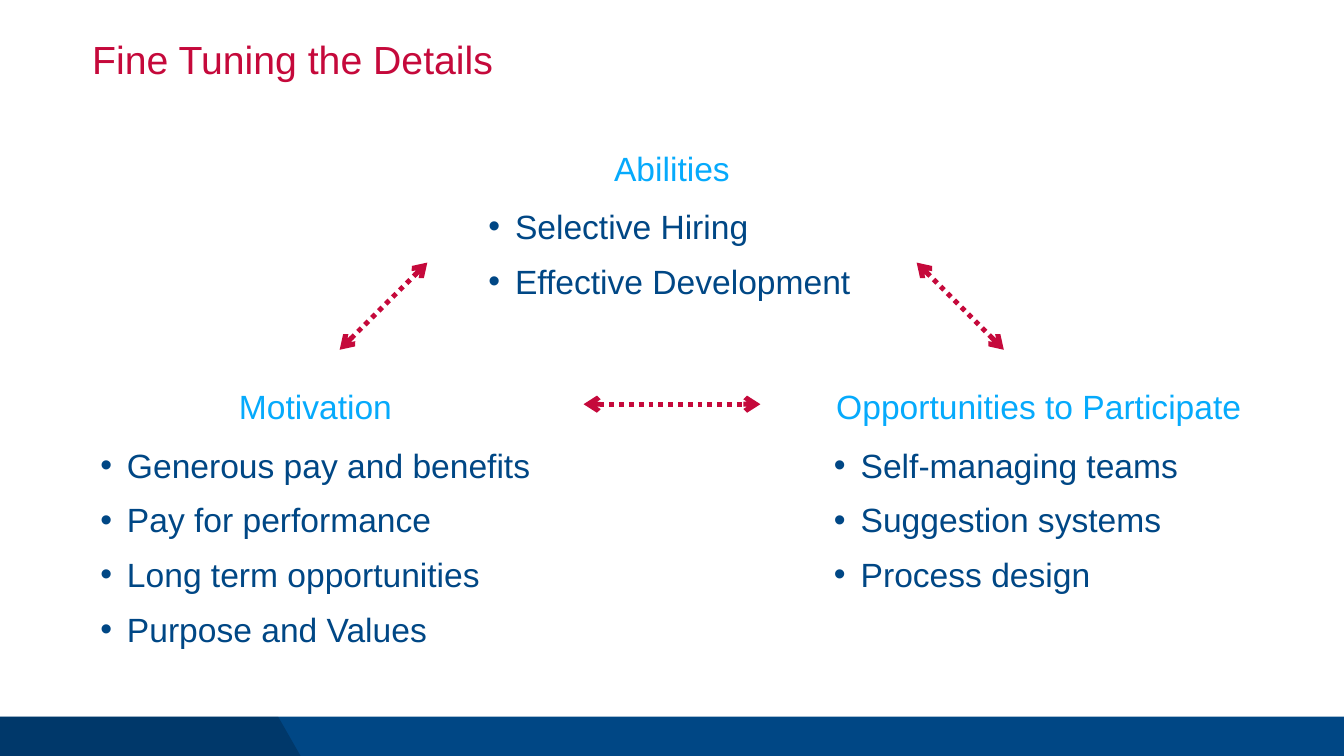
"""Build the "Fine Tuning the Details" slide: three linked lists of ideas."""
from lxml import etree
from pptx import Presentation
from pptx.dml.color import RGBColor
from pptx.enum.dml import MSO_LINE
from pptx.enum.shapes import MSO_CONNECTOR, MSO_SHAPE
from pptx.enum.text import MSO_ANCHOR, PP_ALIGN
from pptx.oxml.ns import qn
from pptx.util import Pt

PX = 9144
NAVY = RGBColor(0x00, 0x47, 0x85)
SKY = RGBColor(0x06, 0xAA, 0xFC)
CRIMSON = RGBColor(0xC5, 0x09, 0x3B)
BLACK = RGBColor(0x00, 0x00, 0x00)
INDENT = 53

deck = Presentation()
deck.slide_width, deck.slide_height = 2667 * PX, 1500 * PX
page = deck.slides.add_slide(deck.slide_layouts[6])


def add_text(text, left, top, width, height, size=48, color=NAVY, spacing=1.1,
             before=0, align=PP_ALIGN.LEFT, anchor=MSO_ANCHOR.TOP, bullet=False):
    box = page.shapes.add_textbox(left * PX, top * PX, width * PX, height * PX)
    frame = box.text_frame
    frame.word_wrap = True
    frame.vertical_anchor = anchor
    frame.margin_left = frame.margin_top = frame.margin_right = frame.margin_bottom = 0
    frame.text = text
    for para in frame.paragraphs:
        para.alignment = align
        para.line_spacing = spacing
        para.space_before = Pt(before)
        for span in para.runs:
            span.font.name = "Arial"
            span.font.size = Pt(size)
            span.font.color.rgb = color
        if bullet:
            properties = para._p.get_or_add_pPr()
            properties.set("marL", str(INDENT * PX))
            properties.set("indent", str(-INDENT * PX))
            etree.SubElement(properties, qn("a:buFont")).set("typeface", "Arial")
            etree.SubElement(properties, qn("a:buChar")).set("char", "•")


footer = page.shapes.add_shape(MSO_SHAPE.RECTANGLE, 0, 1422 * PX, 2667 * PX, 84 * PX)
outline = page.shapes.build_freeform(0, 1422, scale=PX)
outline.add_line_segments([(552, 1422), (600, 1506), (0, 1506)], close=True)
corner = outline.convert_to_shape()
for band, color in ((footer, NAVY), (corner, BLACK)):
    band.shadow.inherit = False
    band.fill.solid()
    band.fill.fore_color.rgb = color
    band.line.fill.background()
shade = corner.fill._xPr.find(qn("a:solidFill"))[0]
etree.SubElement(shade, qn("a:alpha")).set("val", "20000")

add_text("Fine Tuning the Details", 183, 80, 2300, 105, size=56, color=CRIMSON, spacing=0.9)

groups = [
    ("Motivation", 199, 742, 854, 556,
     ["Generous pay and benefits", "Pay for performance",
      "Long term opportunities", "Purpose and Values"]),
    ("Opportunities to Participate", 1655, 742, 813, 556,
     ["Self-managing teams", "Suggestion systems", "Process design"]),
    ("Abilities", 969, 269, 729, 257,
     ["Selective Hiring", "Effective Development"]),
]
for heading, left, top, width, list_height, items in groups:
    add_text(heading, left, top, width, 121, color=SKY, before=30,
             align=PP_ALIGN.CENTER, anchor=MSO_ANCHOR.MIDDLE)
    add_text("\n".join(items), left, top + 132, width, list_height, before=15, bullet=True)

for ends in ((674, 694, 848, 521), (1992, 694, 1819, 521), (1158, 802, 1509, 802)):
    arrow = page.shapes.add_connector(MSO_CONNECTOR.STRAIGHT, *[end * PX for end in ends])
    arrow.line.color.rgb = CRIMSON
    arrow.line.width = Pt(7)
    arrow.line.dash_style = MSO_LINE.ROUND_DOT
    stroke = arrow.line._get_or_add_ln()
    for tip in ("a:headEnd", "a:tailEnd"):
        etree.SubElement(stroke, qn(tip)).set("type", "arrow")
    etree.SubElement(arrow._element.spPr, qn("a:effectLst"))

deck.save("out.pptx")
